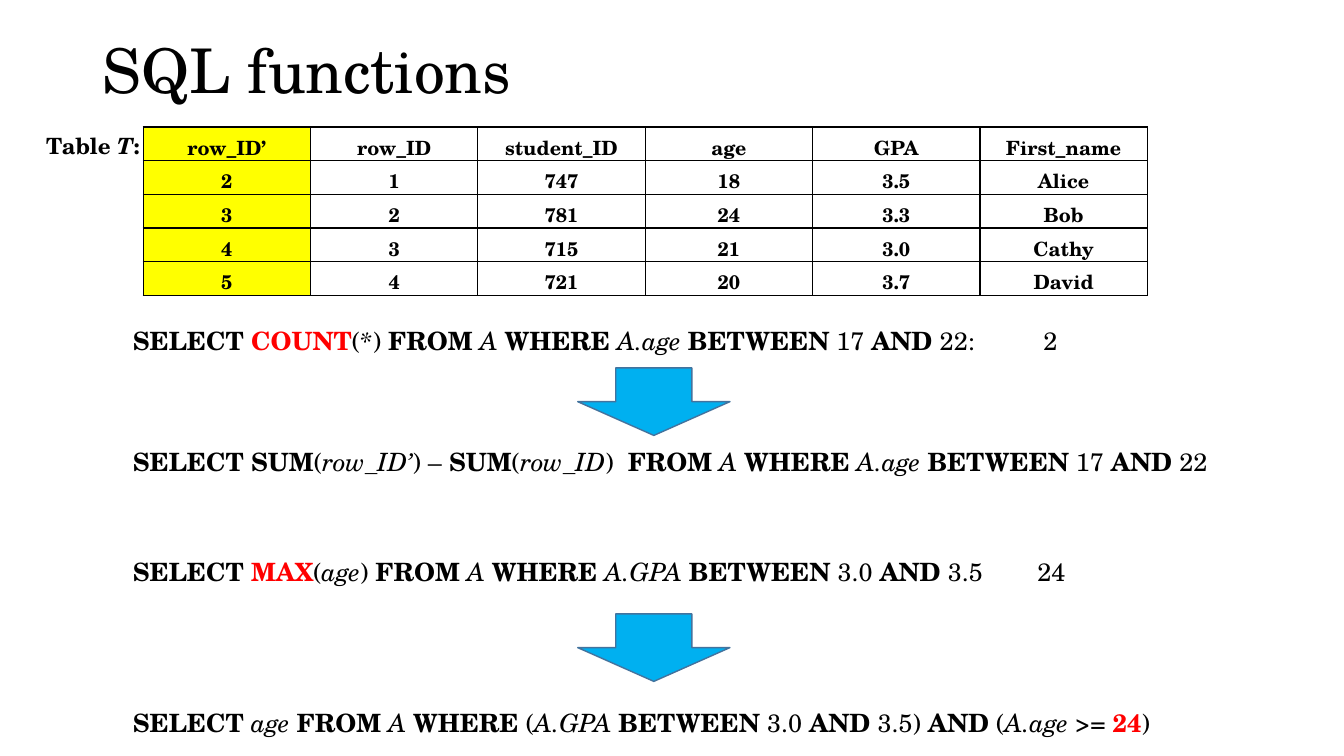
from dataclasses import dataclass

from lxml import etree
from pptx import Presentation
from pptx.dml.color import RGBColor
from pptx.enum import shapes, text
from pptx.oxml import ns
from pptx.util import Inches, Pt

FONT = "TeX Gyre Schola"
COLORS = {
    "black": "000000",
    "white": "FFFFFF",
    "red": "FF0000",
    "yellow": "FFFF00",
    "arrow": "00B0F0",
    "arrow_edge": "43739E",
}


@dataclass(frozen=True)
class Part:
    words: str
    bold: bool = False
    italic: bool = False
    color: str = "black"


@dataclass(frozen=True)
class Grid:
    left: float
    fill: str
    rows: list[list[str]]


@dataclass(frozen=True)
class Rewrite:
    """A query above the query it turns into, with an arrow between them."""
    top: float
    width: float
    height: float
    gap_lines: int
    result_tab: float
    arrow_top: float
    before: list[Part]
    after: list[Part]


def key(words: str, color: str = "black") -> Part:
    return Part(words, bold=True, color=color)


def var(words: str) -> Part:
    return Part(words, italic=True)


FROM_A_WHERE = [key("FROM "), var("A "), key("WHERE ")]
AGE_BETWEEN = FROM_A_WHERE + [var("A.age "), key("BETWEEN"), Part(" 17 "), key("AND ")]
GPA_BETWEEN = [var("A.GPA "), key("BETWEEN "), Part("3.0 "), key("AND ")]

REWRITES = [
    Rewrite(
        3.18, 11.2, 1.62, 3, 9.03, 3.65,
        [key("SELECT "), key("COUNT", "red"), Part("("), var("*"), Part(") "),
         *AGE_BETWEEN, Part("22:\t2")],
        [key("SELECT SUM"), Part("("), var("row_ID’"), Part(") –"), key(" SUM"),
         Part("("), var("row_ID"), Part(")  "), *AGE_BETWEEN, Part("22")],
    ),
    Rewrite(
        5.47, 10.57, 1.92, 4, 8.97, 6.09,
        [key("SELECT "), key("MAX", "red"), Part("("), var("age"), Part(") "),
         *FROM_A_WHERE, *GPA_BETWEEN, Part("3.5\t24")],
        [key("SELECT "), var("age "), *FROM_A_WHERE, Part("("), *GPA_BETWEEN,
         Part("3.5) "), key("AND"), Part(" ("), var("A.age"), Part(" >= "),
         key("24", "red"), Part(")")],
    ),
]

COLUMN_WIDTH, ROW_HEIGHT, TABLE_TOP = 1.66, 0.33, 1.26
GRIDS = [
    Grid(3.08, "white", [
        ["row_ID", "student_ID", "age", "GPA", "First_name"],
        ["1", "747", "18", "3.5", "Alice"],
        ["2", "781", "24", "3.3", "Bob"],
        ["3", "715", "21", "3.0", "Cathy"],
        ["4", "721", "20", "3.7", "David"],
    ]),
    Grid(1.42, "yellow", [["row_ID’"], ["2"], ["3"], ["4"], ["5"]]),
]


def rgb(name: str) -> RGBColor:
    return RGBColor.from_string(COLORS[name])


def format_run(run, size: float, part: Part) -> None:
    run.font.name = FONT
    run.font.size = Pt(size)
    run.font.bold = part.bold
    run.font.italic = part.italic
    run.font.color.rgb = rgb(part.color)


def write_parts(paragraph, parts: list[Part], size: float) -> None:
    for part in parts:
        run = paragraph.add_run()
        run.text = part.words
        format_run(run, size, part)


def add_frame(slide, left: float, top: float, width: float, height: float):
    box = slide.shapes.add_textbox(Inches(left), Inches(top), Inches(width), Inches(height))
    box.text_frame.word_wrap = True
    return box.text_frame


def add_borders(cell) -> None:
    properties = cell._tc.get_or_add_tcPr()
    for index, side in enumerate(("lnL", "lnR", "lnT", "lnB")):
        line = etree.Element(ns.qn(f"a:{side}"), w=str(Pt(1)))
        fill = etree.SubElement(line, ns.qn("a:solidFill"))
        etree.SubElement(fill, ns.qn("a:srgbClr"), val=COLORS["black"])
        properties.insert(index, line)


def add_grid(slide, grid: Grid) -> None:
    row_count, column_count = len(grid.rows), len(grid.rows[0])
    table = slide.shapes.add_table(
        row_count, column_count, Inches(grid.left), Inches(TABLE_TOP),
        Inches(COLUMN_WIDTH * column_count), Inches(ROW_HEIGHT * row_count),
    ).table
    table.first_row = table.horz_banding = False
    for row, values in enumerate(grid.rows):
        for column, value in enumerate(values):
            cell = table.cell(row, column)
            cell.text_frame.text = value
            paragraph = cell.text_frame.paragraphs[0]
            paragraph.alignment = text.PP_ALIGN.CENTER
            format_run(paragraph.runs[0], 14, key(value))
            cell.fill.solid()
            cell.fill.fore_color.rgb = rgb(grid.fill)
            add_borders(cell)


def add_tab_stop(paragraph, position: float) -> None:
    stops = etree.SubElement(paragraph._p.get_or_add_pPr(), ns.qn("a:tabLst"))
    etree.SubElement(stops, ns.qn("a:tab"), pos=str(Inches(position)), algn="l")


def add_rewrite(slide, rewrite: Rewrite) -> None:
    frame = add_frame(slide, 1.22, rewrite.top, rewrite.width, rewrite.height)
    before, after = frame.paragraphs[0], frame.add_paragraph()
    add_tab_stop(before, rewrite.result_tab)
    write_parts(before, rewrite.before, 18)
    after.space_before = Pt(21.6 * rewrite.gap_lines)
    write_parts(after, rewrite.after, 18)

    arrow = slide.shapes.add_shape(
        shapes.MSO_SHAPE.DOWN_ARROW,
        Inches(5.73), Inches(rewrite.arrow_top), Inches(1.51), Inches(0.67),
    )
    arrow.shadow.inherit = False
    arrow.fill.solid()
    arrow.fill.fore_color.rgb = rgb("arrow")
    arrow.line.color.rgb = rgb("arrow_edge")
    arrow.line.width = Pt(1)


def main() -> None:
    deck = Presentation()
    deck.slide_width, deck.slide_height = Inches(13.33), Inches(7.5)
    slide = deck.slides.add_slide(deck.slide_layouts[6])

    title = add_frame(slide, 0.92, 0, 11.5, 1.45)
    title.vertical_anchor = text.MSO_ANCHOR.MIDDLE
    title.paragraphs[0].line_spacing = 0.9
    write_parts(title.paragraphs[0], [Part("SQL functions")], 44)

    label = add_frame(slide, 0.36, TABLE_TOP, 1.48, 0.37)
    write_parts(label.paragraphs[0],
                [key("Table "), Part("T", bold=True, italic=True), key(":")], 16)

    for grid in GRIDS:
        add_grid(slide, grid)
    for rewrite in REWRITES:
        add_rewrite(slide, rewrite)
    deck.save("out.pptx")


if __name__ == "__main__":
    main()
